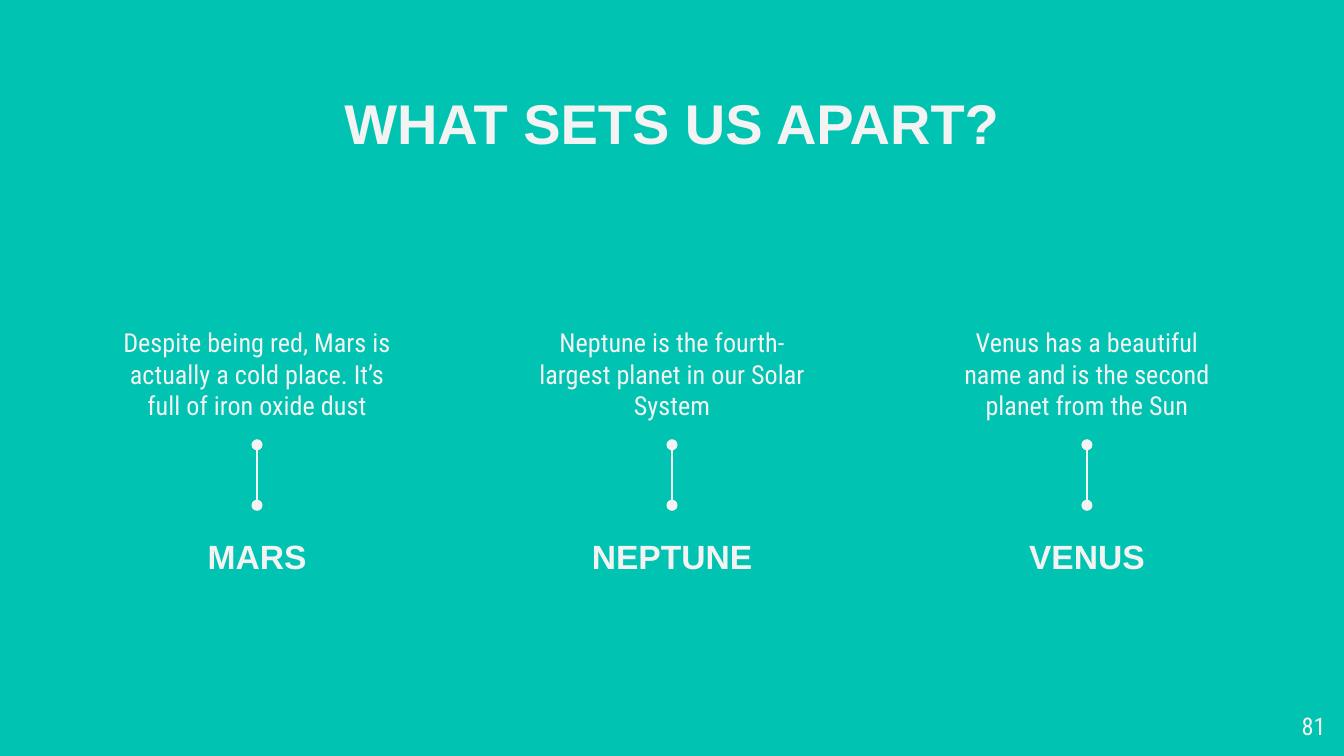
from dataclasses import dataclass

from lxml.etree import SubElement
from pptx import Presentation
from pptx.dml.color import RGBColor
from pptx.enum.shapes import MSO_CONNECTOR as Connector
from pptx.enum.text import MSO_ANCHOR as Anchor, PP_ALIGN as Align
from pptx.oxml.ns import qn
from pptx.util import Pt


@dataclass(frozen=True)
class Theme:
    background: RGBColor = RGBColor(0x00, 0xC3, 0xB1)
    ink: RGBColor = RGBColor(0xF3, 0xF3, 0xF3)
    heading_font: str = "Arial"
    body_font: str = "Roboto Condensed"
    title_size: float = 30
    name_size: float = 18
    body_size: float = 14
    number_size: float = 13
    line_width: float = 1.5


THEME = Theme()
PLANETS = [
    ("MARS", "Despite being red, Mars is actually a cold place. It’s full of iron oxide dust"),
    ("NEPTUNE", "Neptune is the fourth-largest planet in our Solar System"),
    ("VENUS", "Venus has a beautiful name and is the second planet from the Sun"),
]


def add_text(page, box, text, size, heading=False, align=Align.CENTER,
             anchor=Anchor.TOP, inset=7.2, space_after=0):
    shape = page.shapes.add_textbox(*map(Pt, box))
    frame = shape.text_frame
    frame.word_wrap = True
    frame.vertical_anchor = anchor
    frame.margin_left = frame.margin_right = Pt(inset)
    frame.margin_top = frame.margin_bottom = Pt(inset)
    para = frame.paragraphs[0]
    para.text = text
    para.alignment = align
    para.space_after = Pt(space_after)
    para.font.name = THEME.heading_font if heading else THEME.body_font
    para.font.size = Pt(size)
    para.font.bold = heading
    para.font.color.rgb = THEME.ink
    return shape


def join_with_dots(page, upper, lower):
    """Link two boxes by a vertical line with a round dot at each end."""
    link = page.shapes.add_connector(Connector.STRAIGHT, 0, 0, 0, 0)
    link.begin_connect(upper, 2)
    link.end_connect(lower, 0)
    link.line.color.rgb = THEME.ink
    link.line.width = Pt(THEME.line_width)
    properties = link._element.spPr
    outline = properties.find(qn("a:ln"))
    for end in ("a:headEnd", "a:tailEnd"):
        SubElement(outline, qn(end), type="oval")
    SubElement(properties, qn("a:effectLst"))


def add_planet(page, box, name, description):
    left, top, width, height = box
    body_height, name_height, name_width = 76.3, 54, 121
    body = add_text(page, (left, top, width, body_height), description,
                    THEME.body_size, anchor=Anchor.MIDDLE, space_after=16)
    name_box = (left + (width - name_width) / 2, top + height - name_height,
                name_width, name_height)
    label = add_text(page, name_box, name, THEME.name_size, heading=True,
                     anchor=Anchor.MIDDLE, inset=0)
    join_with_dots(page, body, label)


def add_planet_row(page, box):
    left, top, width, height = box
    column = 162
    pitch = (width - column) / (len(PLANETS) - 1)
    for index, (name, description) in enumerate(PLANETS):
        add_planet(page, (left + index * pitch, top, column, height), name, description)


def main():
    deck = Presentation()
    deck.slide_width, deck.slide_height = Pt(720), Pt(405)
    page = deck.slides.add_slide(deck.slide_layouts[6])
    page.background.fill.solid()
    page.background.fill.fore_color.rgb = THEME.background
    add_text(page, (56.7, 40.5, 606.6, 45), "WHAT SETS US APART?",
             THEME.title_size, heading=True)
    add_planet_row(page, (56.7, 162, 606.6, 162.7))
    add_text(page, (674, 374, 43.2, 31), "81", THEME.number_size, align=Align.RIGHT)
    deck.save("out.pptx")


if __name__ == "__main__":
    main()
